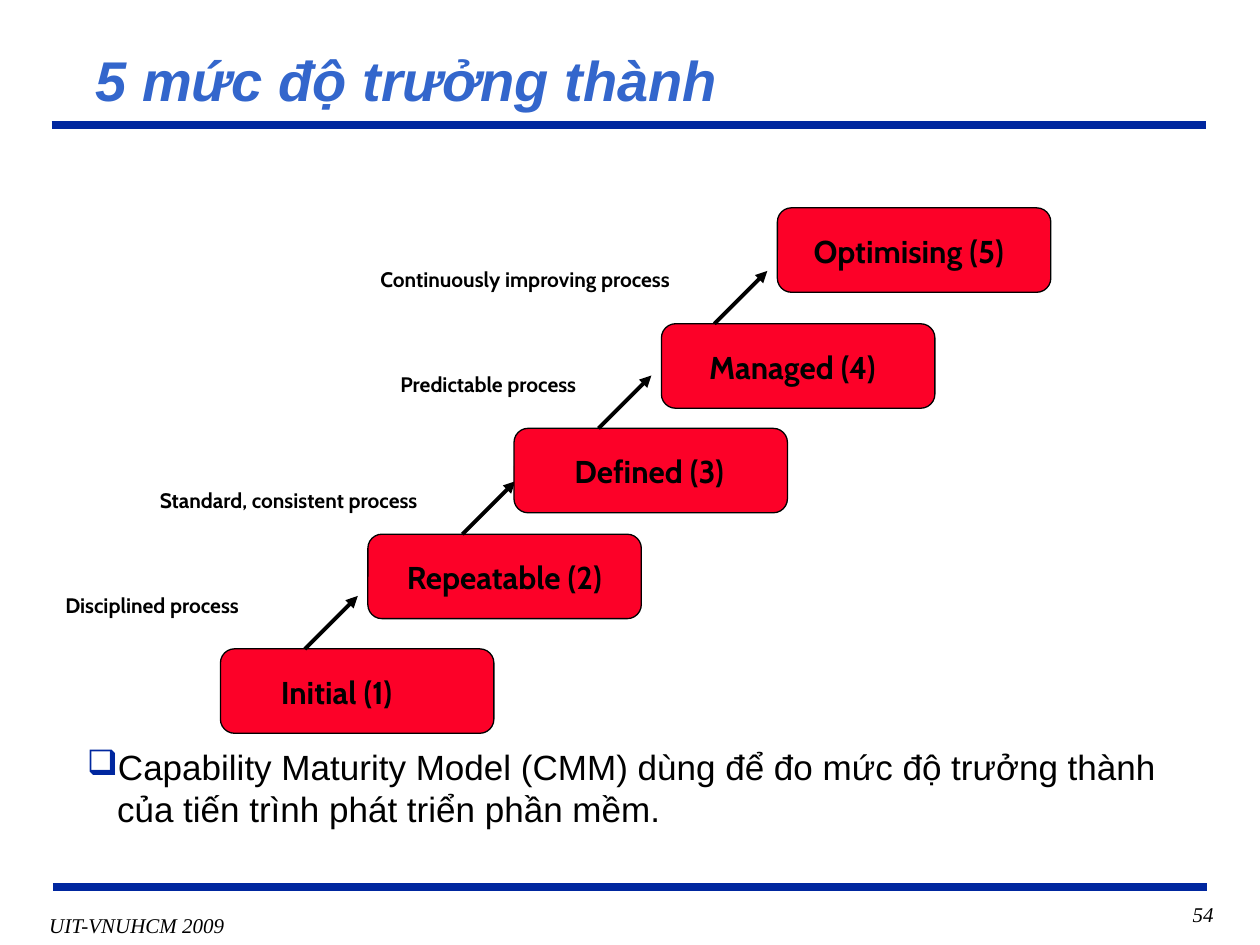
import lxml.etree
import pptx
import pptx.dml.color
import pptx.enum.shapes
import pptx.enum.text
import pptx.oxml.ns
import pptx.util

Inches = pptx.util.Inches
RGBColor = pptx.dml.color.RGBColor
ALIGN = pptx.enum.text.PP_ALIGN
ANCHOR = pptx.enum.text.MSO_ANCHOR

BLACK = RGBColor(0x00, 0x00, 0x00)
NAVY = RGBColor(0x00, 0x27, 0x9F)
TITLE_BLUE = RGBColor(0x33, 0x66, 0xCC)
RED = RGBColor(0xFC, 0x01, 0x28)

LEVEL_WIDTH, LEVEL_HEIGHT = 2.17, 0.67
ARROW_SPAN = 0.42

# name, box left, box top, name offset, name width, arrow offset
LEVELS = [
    ("Initial (1)", 1.75, 5.15, 0.38, 1.32, 0.67),
    ("Repeatable (2)", 2.92, 4.24, 0.21, 1.99, 0.75),
    ("Defined (3)", 4.08, 3.4, 0.38, 1.55, 0.67),
    ("Managed (4)", 5.25, 2.57, 0.28, 1.74, 0.42),
    ("Optimising (5)", 6.17, 1.65, 0.19, 1.96, None),
]
PROCESSES = [
    ("Disciplined process", 0.42, 4.65, 2.33),
    ("Standard, consistent process", 1.17, 3.82, 2.83),
    ("Predictable process", 3.08, 2.9, 2.17),
    ("Continuously improving process", 2.92, 2.07, 2.92),
]


def add_text(slide, text, box, font, size, color=BLACK, bold=False, italic=False,
             align=ALIGN.LEFT, anchor=ANCHOR.TOP, wrap=True):
    """Add one formatted paragraph in a box and return the paragraph."""
    frame = slide.shapes.add_textbox(*map(Inches, box)).text_frame
    frame.word_wrap = wrap
    frame.vertical_anchor = anchor
    frame.text = text
    paragraph = frame.paragraphs[0]
    paragraph.alignment = align
    run_font = paragraph.runs[0].font
    run_font.name, run_font.size = font, pptx.util.Pt(size)
    run_font.bold, run_font.italic = bold, italic
    run_font.color.rgb = color
    return paragraph


def add_line(slide, start, end, color, width, arrow=False):
    """Draw a straight line, with an arrowhead at its end if asked."""
    line = slide.shapes.add_connector(
        pptx.enum.shapes.MSO_CONNECTOR.STRAIGHT, *map(Inches, (*start, *end)))
    line.line.color.rgb = color
    line.line.width = pptx.util.Pt(width)
    if arrow:
        lxml.etree.SubElement(line.line._get_or_add_ln(),
                              pptx.oxml.ns.qn("a:tailEnd"), type="triangle")
    lxml.etree.SubElement(line._element.spPr, pptx.oxml.ns.qn("a:effectLst"))


def add_header(slide, left, top, width):
    """Place the title above its rule."""
    add_text(slide, "5 mức độ trưởng thành", (left + 0.25, top, 8.87, 0.59), "Arial", 32,
             TITLE_BLUE, bold=True, italic=True, anchor=ANCHOR.MIDDLE)
    add_line(slide, (left, top + 0.66), (left + width, top + 0.66), NAVY, 4.5)


def add_level(slide, left, top, name, name_offset, name_width, arrow_offset):
    """Place a maturity level and the arrow to the next one."""
    box = slide.shapes.add_shape(
        pptx.enum.shapes.MSO_SHAPE.FLOWCHART_ALTERNATE_PROCESS,
        *map(Inches, (left, top, LEVEL_WIDTH, LEVEL_HEIGHT)))
    box.shadow.inherit = False
    box.fill.solid()
    box.fill.fore_color.rgb = RED
    box.line.color.rgb = BLACK
    box.line.width = pptx.util.Pt(0.75)
    add_text(slide, name, (left + name_offset, top + 0.14, name_width, 0.4),
             "Cabin", 18, bold=True, wrap=False)
    if arrow_offset is not None:
        foot = left + arrow_offset
        add_line(slide, (foot, top), (foot + ARROW_SPAN, top - ARROW_SPAN), BLACK, 2.25, True)


def add_staircase(slide):
    """Place the five levels and the processes that lead between them."""
    for name, left, top, *offsets in LEVELS:
        add_level(slide, left, top, name, *offsets)
    for process, left, top, width in PROCESSES:
        add_text(slide, process, (left, top, width, 0.3), "Cabin", 12, bold=True)


def add_summary(slide, left, top, width, height):
    """Place the bulleted summary."""
    summary = add_text(
        slide,
        "Capability Maturity Model (CMM) dùng để đo mức độ trưởng thành "
        "của tiến trình phát triển phần mềm.",
        (left, top, width, height), "Arial", 20)
    properties = summary._p.get_or_add_pPr()
    indent = Inches(0.24)
    properties.set("marL", str(indent))
    properties.set("indent", str(-indent))
    qn = pptx.oxml.ns.qn
    bullet_color = lxml.etree.SubElement(properties, qn("a:buClr"))
    lxml.etree.SubElement(bullet_color, qn("a:srgbClr"), val=str(NAVY))
    lxml.etree.SubElement(properties, qn("a:buChar"), char="❑")


def add_footer(slide, left, top, width):
    """Place the lower rule, the source and the page number."""
    add_line(slide, (left, top), (left + width, top), NAVY, 4.5)
    add_text(slide, "UIT-VNUHCM 2009", (left - 0.13, top + 0.15, 1.59, 0.29),
             "Times New Roman", 12, italic=True, align=ALIGN.CENTER, wrap=False)
    add_text(slide, "54", (left + 8.06, top + 0.07, 1.25, 0.33),
             "Times New Roman", 12, italic=True, align=ALIGN.RIGHT)


def main():
    """Build and save the slide."""
    presentation = pptx.Presentation()
    presentation.slide_width, presentation.slide_height = Inches(10), Inches(7.5)
    slide = presentation.slides.add_slide(presentation.slide_layouts[6])
    add_header(slide, 0.41, 0.33, 9.16)
    add_staircase(slide)
    add_summary(slide, 0.59, 5.87, 8.71, 0.77)
    add_footer(slide, 0.42, 7.04, 9.16)
    presentation.save("out.pptx")


if __name__ == "__main__":
    main()
